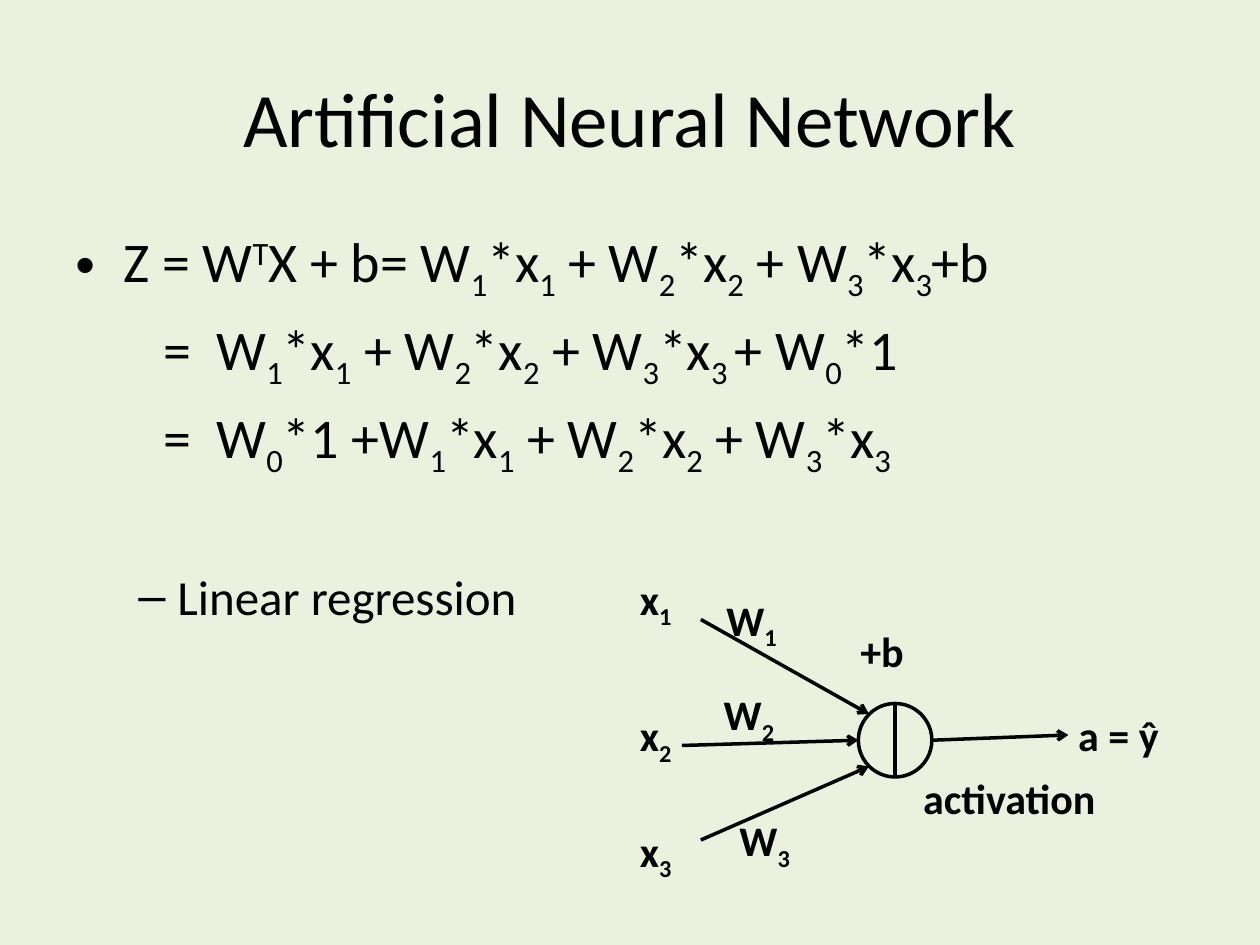
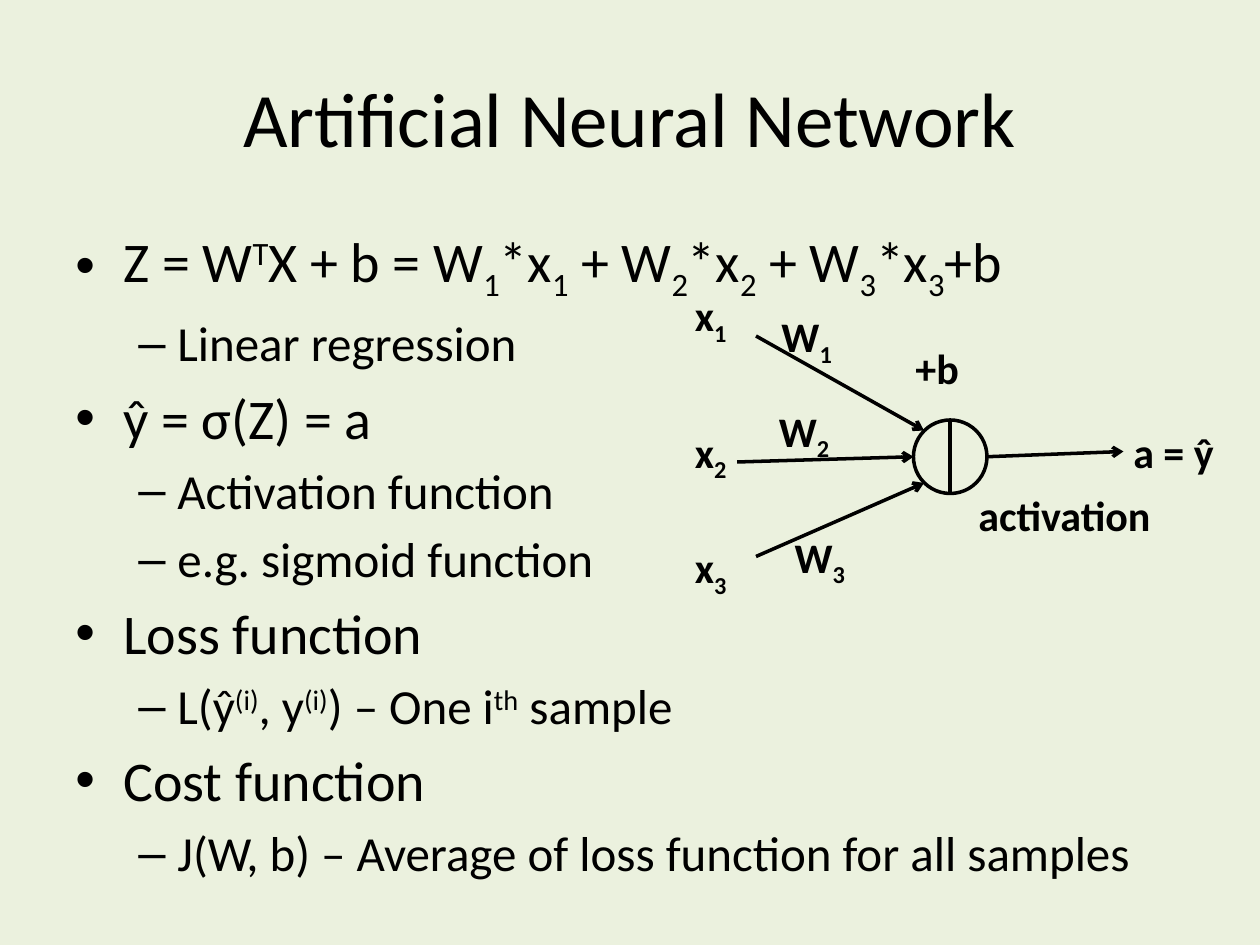
from lxml import etree
from pptx import Presentation
from pptx import util as u
from pptx.dml.color import RGBColor
from pptx.enum import shapes, text
from pptx.oxml.ns import qn

BACKGROUND = RGBColor(0xEB, 0xF1, 0xDE)
INK = RGBColor(0, 0, 0)
FONT = "Calibri"
LINE_WIDTH = u.Pt(2)
COLUMNS, ROWS = 120, 90
BASELINES = {"^": "30000", "_": "-25000"}

deck = Presentation()
deck.slide_width, deck.slide_height = u.Inches(10), u.Inches(7.5)
deck.slide_master.background.fill.solid()
deck.slide_master.background.fill.fore_color.rgb = BACKGROUND


def grid(*lengths):
    units = (deck.slide_width / COLUMNS, deck.slide_height / ROWS)
    return [round(length * units[i % 2]) for i, length in enumerate(lengths)]


def write(para, markup, size, bold=False):
    para.font.name, para.font.size, para.font.bold = FONT, u.Pt(size), bold
    para.font.color.rgb = INK
    for i, chunk in enumerate(markup.replace("}", "{").split("{")):
        if chunk:
            span = para.add_run()
            span.text = chunk[1:] if i % 2 else chunk
            if i % 2:
                span.font._element.set("baseline", BASELINES[chunk[0]])


STYLES = {
    "bullet": (32, 0.38, -0.38, "•"),
    "dash": (28, 0.81, -0.31, "–"),
    "equation": (32, 1.12, -0.42, None),
}
SUM = "W{_1}*x{_1} + W{_2}*x{_2} + W{_3}*x{_3"
PAGES = [
    {
        "body_rows": 59.4,
        "origin": (59.75, 54),
        "lines": [
            ("bullet", "Z = W{^T}X + b= " + SUM + "}+b"),
            ("equation", "=\t" + SUM + " }+ W{_0}*1"),
            ("equation", "=\tW{_0}*1 +" + SUM + "}"),
            ("dash", "Linear regression"),
        ],
        "gap_before": {3: 50},
    },
    {
        "body_rows": 66,
        "origin": (65, 27),
        "lines": [
            ("bullet", "Z = W{^T}X + b = " + SUM + "}+b"),
            ("dash", "Linear regression"),
            ("bullet", "ŷ = σ(Z) = a"),
            ("dash", "Activation function"),
            ("dash", "e.g. sigmoid function"),
            ("bullet", "Loss function"),
            ("dash", "L(ŷ{^(i)}, y{^(i)}) – One i{^th} sample"),
            ("bullet", "Cost function"),
            ("dash", "J(W, b) – Average of loss function for all samples"),
        ],
        "gap_before": {},
    },
]

NEURON = (22, 13, 7)
LABELS = [
    ("x{_1}", 0, 0, 5.6),
    ("x{_2}", 0, 13, 5.6),
    ("x{_3}", 0, 24, 5.6),
    ("W{_1}", 8.25, 2, 7.5),
    ("W{_2}", 8, 11, 7.5),
    ("W{_3}", 9.5, 23, 7.5),
    ("+b", 21, 5, 6.6),
    ("a = ŷ", 41.75, 13, 10.2),
    ("activation", 27, 19, 19),
]
LINES = [
    (29, 16.5, 42, 16, True),
    (5.2, 17, 22, 16.5, True),
    (7, 5, 23, 14, True),
    (7, 26, 23, 19, True),
    (25.5, 13, 25.5, 20, False),
]

for content in PAGES:
    page = deck.slides.add_slide(deck.slide_layouts[5])
    title = page.shapes.title
    title.left, title.top, title.width, title.height = grid(6, 3.6, 108, 15)
    title.text_frame.vertical_anchor = text.MSO_ANCHOR.MIDDLE
    heading = title.text_frame.paragraphs[0]
    heading.alignment = text.PP_ALIGN.CENTER
    write(heading, "Artificial Neural Network", 44)

    body = page.shapes.add_textbox(*grid(6, 21, 110, content["body_rows"])).text_frame
    body.word_wrap = True
    for i, (style, markup) in enumerate(content["lines"]):
        para = body.paragraphs[0] if i == 0 else body.add_paragraph()
        size, margin, indent, bullet = STYLES[style]
        para.level = int(style == "dash")
        properties = para._p.get_or_add_pPr()
        properties.set("marL", str(u.Inches(margin)))
        properties.set("indent", str(u.Inches(indent)))
        if i in content["gap_before"]:
            para.space_before = u.Pt(content["gap_before"][i])
        else:
            spacing = etree.SubElement(properties, qn("a:spcBef"))
            etree.SubElement(spacing, qn("a:spcPct")).set("val", "20000")
        if bullet:
            etree.SubElement(properties, qn("a:buFont")).set("typeface", "Arial")
            etree.SubElement(properties, qn("a:buChar")).set("char", bullet)
        else:
            etree.SubElement(properties, qn("a:buNone"))
        write(para, markup, size)

    left, top = content["origin"]
    diagram = page.shapes.add_group_shape().shapes
    x, y, diameter = NEURON
    neuron = diagram.add_shape(
        shapes.MSO_SHAPE.OVAL, *grid(left + x, top + y, diameter, diameter)
    )
    neuron.shadow.inherit = False
    neuron.fill.background()
    neuron.line.color.rgb, neuron.line.width = INK, LINE_WIDTH

    for x1, y1, x2, y2, has_arrow in LINES:
        line = diagram.add_connector(
            shapes.MSO_CONNECTOR.STRAIGHT,
            *grid(left + x1, top + y1, left + x2, top + y2),
        )
        line.line.color.rgb, line.line.width = INK, LINE_WIDTH
        properties = line._element.spPr
        if has_arrow:
            outline = properties.find(qn("a:ln"))
            etree.SubElement(outline, qn("a:tailEnd")).set("type", "arrow")
        etree.SubElement(properties, qn("a:effectLst"))

    for markup, x, y, width in LABELS:
        label = diagram.add_textbox(*grid(left + x, top + y, width, 6)).text_frame
        label.word_wrap = False
        label.auto_size = text.MSO_AUTO_SIZE.SHAPE_TO_FIT_TEXT
        write(label.paragraphs[0], markup, 24, bold=True)

deck.save("out.pptx")
